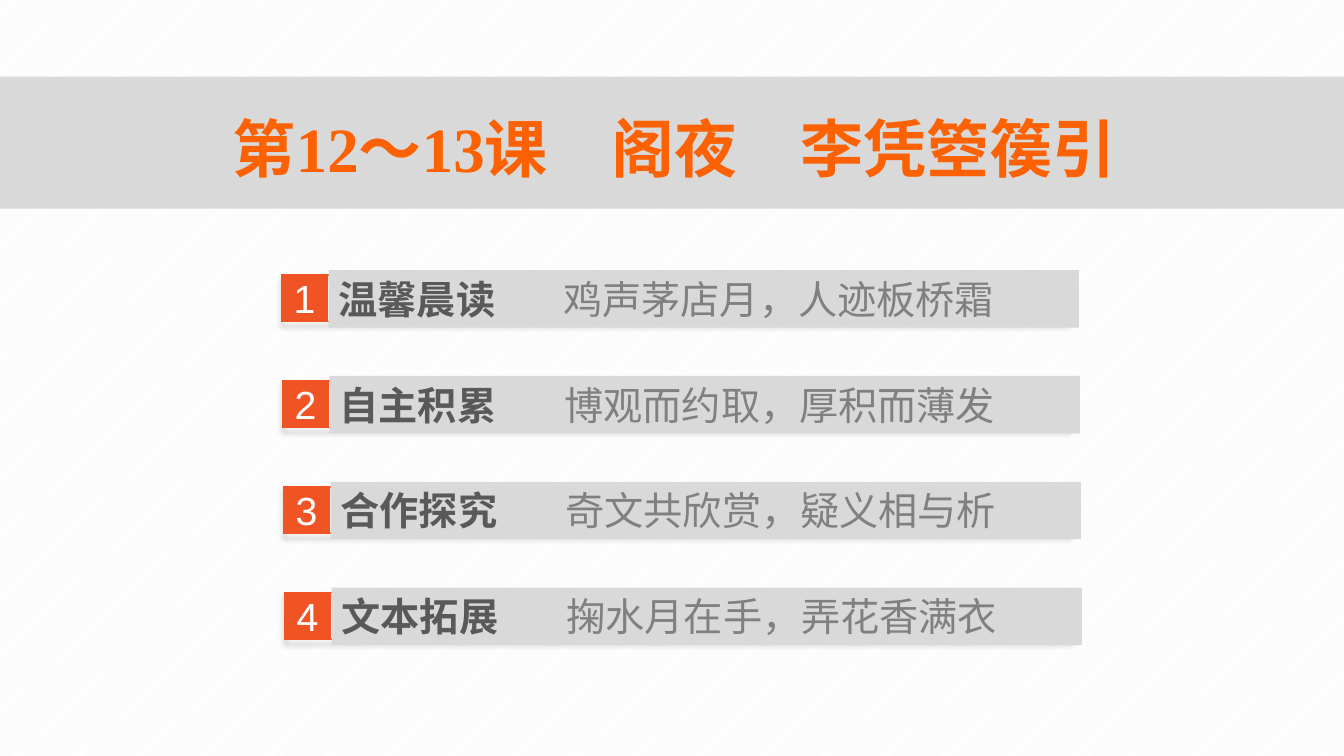
from lxml import etree
from pptx import Presentation
from pptx.dml.color import RGBColor
from pptx.enum.dml import MSO_PATTERN
from pptx.enum.shapes import MSO_SHAPE
from pptx.enum.text import MSO_ANCHOR, PP_ALIGN
from pptx.oxml.ns import qn
from pptx.util import Inches, Pt

WHITE = RGBColor(0xFF, 0xFF, 0xFF)
STRIPE = RGBColor(0xF2, 0xF2, 0xF2)
BAND = RGBColor(0xD9, 0xD9, 0xD9)
ORANGE = RGBColor(0xF0, 0x54, 0x25)
TITLE_ORANGE = RGBColor(0xFC, 0x62, 0x04)
DARK_GREY = RGBColor(0x59, 0x59, 0x59)
MID_GREY = RGBColor(0x80, 0x80, 0x80)

CJK = "Noto Sans CJK SC"
SLIDE_W, SLIDE_H = 13.33, 7.5
FIRST_LEFT, FIRST_TOP = 2.79, 2.73
ROW_PITCH, ROW_DRIFT = 1.05, 0.01
FRAME_W, BADGE = 7.79, 0.46
PANEL_DX, PANEL_DY, PANEL_W, PANEL_H = 0.47, -0.05, 7.44, 0.57
VERSE_TAB = 2.23

LESSONS = [
    ("温馨晨读", "鸡声茅店月，人迹板桥霜"),
    ("自主积累", "博观而约取，厚积而薄发"),
    ("合作探究", "奇文共欣赏，疑义相与析"),
    ("文本拓展", "掬水月在手，弄花香满衣"),
]


def add_rect(shapes, left, top, width, height, fill=None, line=None):
    rect = shapes.add_shape(MSO_SHAPE.RECTANGLE, Inches(left), Inches(top),
                            Inches(width), Inches(height))
    rect.shadow.inherit = False
    if fill is None:
        rect.fill.background()
    else:
        rect.fill.solid()
        rect.fill.fore_color.rgb = fill
    if line is None:
        rect.line.fill.background()
    else:
        rect.line.color.rgb = line
        rect.line.width = Pt(1)
    return rect


def add_drop_shadow(rect):
    effects = rect._element.spPr.find(qn("a:effectLst"))
    shadow = etree.SubElement(effects, qn("a:outerShdw"), blurRad=str(Pt(4)),
                              dist=str(Pt(3)), dir="5400000", rotWithShape="0")
    black = etree.SubElement(shadow, qn("a:srgbClr"), val="000000")
    etree.SubElement(black, qn("a:alpha"), val="40000")


def set_tab(paragraph, position):
    tabs = etree.SubElement(paragraph._p.get_or_add_pPr(), qn("a:tabLst"))
    etree.SubElement(tabs, qn("a:tab"), pos=str(Inches(position)), algn="l")


def write(paragraph, text, *, size=28, font=CJK, color=DARK_GREY, bold=False,
          align=PP_ALIGN.LEFT):
    paragraph.alignment = align
    run = paragraph.add_run()
    run.text = text
    run.font.size = Pt(size)
    run.font.bold = bold
    run.font.color.rgb = color
    run.font.name = font
    etree.SubElement(run.font._element, qn("a:ea"), typeface=CJK)


def add_title(shapes, text):
    add_rect(shapes, 0, 0.76, SLIDE_W, 1.31, fill=BAND)
    title = shapes.add_textbox(Inches(1.15), Inches(1.05),
                               Inches(11.07), Inches(0.82))
    frame = title.text_frame
    frame.word_wrap = True
    frame.vertical_anchor = MSO_ANCHOR.MIDDLE
    write(frame.paragraphs[0], text, size=45, font="Times New Roman",
          color=TITLE_ORANGE, bold=True, align=PP_ALIGN.CENTER)


def add_lesson(shapes, index, heading, verse):
    left = FIRST_LEFT + index * ROW_DRIFT
    top = FIRST_TOP + index * ROW_PITCH
    row = shapes.add_group_shape().shapes

    add_drop_shadow(add_rect(row, left, top, FRAME_W, BADGE, line=ORANGE))

    badge = add_rect(row, left, top, BADGE, BADGE, fill=ORANGE, line=ORANGE)
    badge.text_frame.vertical_anchor = MSO_ANCHOR.MIDDLE
    write(badge.text_frame.paragraphs[0], str(index + 1), font="Arial",
          color=WHITE, align=PP_ALIGN.CENTER)

    panel = add_rect(row, left + PANEL_DX, top + PANEL_DY, PANEL_W, PANEL_H,
                     fill=BAND)
    panel.text_frame.vertical_anchor = MSO_ANCHOR.TOP
    line = panel.text_frame.paragraphs[0]
    set_tab(line, VERSE_TAB)
    write(line, heading + "\t", bold=True)
    write(line, verse, color=MID_GREY)


def main():
    deck = Presentation()
    deck.slide_width, deck.slide_height = Inches(SLIDE_W), Inches(SLIDE_H)
    slide = deck.slides.add_slide(deck.slide_layouts[6])

    backdrop = slide.background.fill
    backdrop.patterned()
    backdrop.pattern = MSO_PATTERN.LIGHT_UPWARD_DIAGONAL
    backdrop.fore_color.rgb = STRIPE
    backdrop.back_color.rgb = WHITE

    add_title(slide.shapes, "第12～13课　阁夜　李凭箜篌引")
    for index, (heading, verse) in enumerate(LESSONS):
        add_lesson(slide.shapes, index, heading, verse)
    deck.save("out.pptx")


if __name__ == "__main__":
    main()
